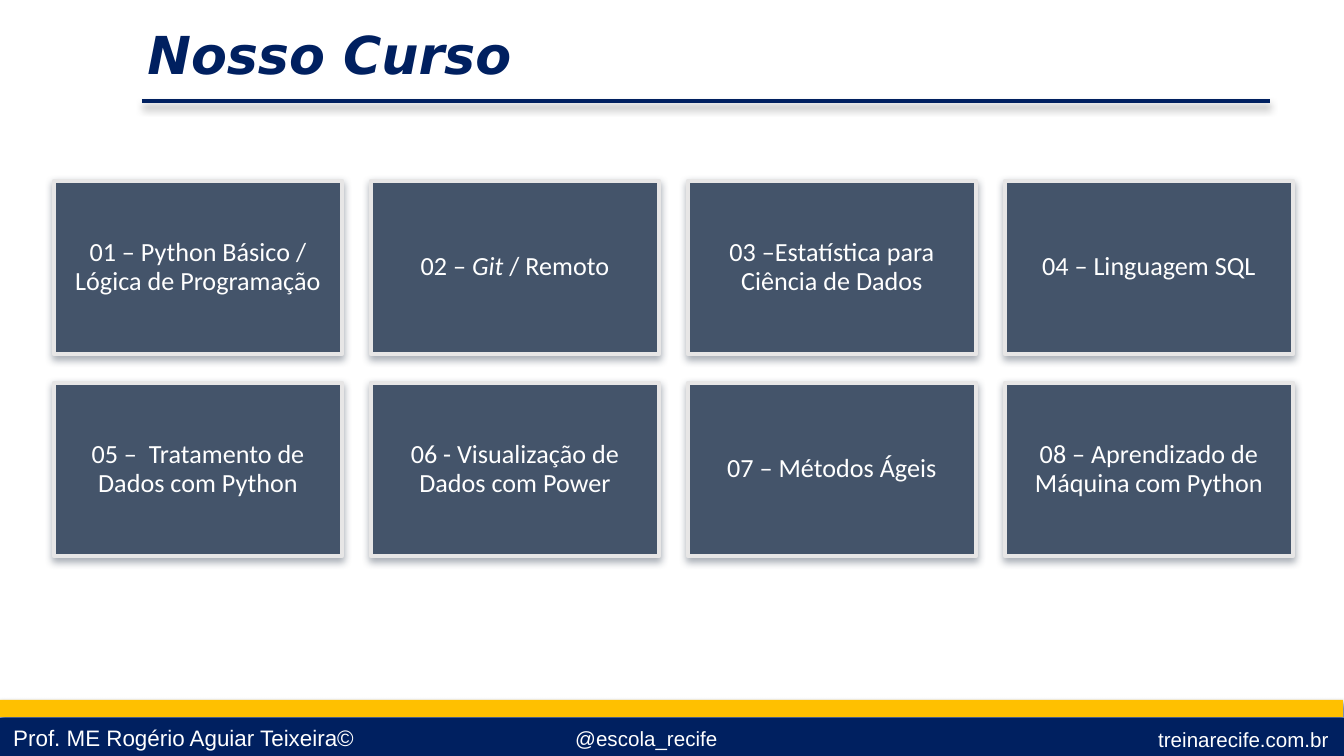
from lxml import etree
from pptx import Presentation
from pptx import util as u
from pptx.dml.color import RGBColor
from pptx.enum import shapes, text
from pptx.oxml import ns

SCALE = 914400 / 134.4
NAVY = RGBColor(0x00, 0x20, 0x60)
YELLOW = RGBColor(0xFF, 0xC0, 0x00)
SLATE = RGBColor(0x44, 0x54, 0x6A)
SILVER = RGBColor(0xE7, 0xE6, 0xE6)
WHITE = RGBColor(0xFF, 0xFF, 0xFF)
BLACK = RGBColor(0x00, 0x00, 0x00)
BAR_SHADOW = RGBColor(0x2A, 0x46, 0x79)
CARD_SHADOW = RGBColor(0x23, 0x31, 0x44)

MODULES = [
    "01 – Python Básico / Lógica de Programação",
    "02 – *Git* / Remoto",
    "03 –Estatística para Ciência de Dados",
    "04 – Linguagem SQL",
    "05 –  Tratamento de Dados com Python",
    "06 - Visualização de Dados com Power",
    "07 – Métodos Ágeis",
    "08 – Aprendizado de Máquina com Python",
]
FOOTER = [
    ("treinarecife.com.br", 1145, 720, 199, 39, 11),
    ("Prof. ME Rogério Aguiar Teixeira©", 0, 718, 375, 40, 12),
    ("@escola_recife", 562, 719, 200, 39, 11),
]


def px(*values):
    return [u.Emu(round(v * SCALE)) for v in values]


class Deck:
    def __init__(self, prs):
        self.slide = prs.slides.add_slide(prs.slide_layouts[5])

    def font(self, p, name, size, color):
        p.font.name = name
        p.font.size = u.Pt(size)
        p.font.color.rgb = color

    def shadow(self, sp, color, alpha, blur, dist):
        props = sp._element.spPr
        effects = props.find(ns.qn("a:effectLst"))
        if effects is None:
            effects = etree.SubElement(props, ns.qn("a:effectLst"))
        outer = etree.SubElement(
            effects, ns.qn("a:outerShdw"), blurRad=str(u.Pt(blur)),
            dist=str(u.Pt(dist)), dir="5400000", algn="t", rotWithShape="0")
        tint = etree.SubElement(outer, ns.qn("a:srgbClr"), val=str(color))
        etree.SubElement(tint, ns.qn("a:alpha"), val=str(alpha * 1000))

    def title(self, words, x, y, w, h):
        sp = self.slide.shapes.title
        sp.left, sp.top, sp.width, sp.height = px(x, y, w, h)
        tf = sp.text_frame
        tf.text = words
        tf.auto_size = text.MSO_AUTO_SIZE.NONE
        tf.vertical_anchor = text.MSO_ANCHOR.TOP
        p = tf.paragraphs[0]
        p.alignment = text.PP_ALIGN.LEFT
        self.font(p, "DejaVu Sans", 28, NAVY)
        p.font.bold = p.font.italic = True

    def rect(self, x, y, w, h, fill):
        sp = self.slide.shapes.add_shape(
            shapes.MSO_SHAPE.RECTANGLE, *px(x, y, w, h))
        sp.shadow.inherit = False
        sp.fill.solid()
        sp.fill.fore_color.rgb = fill
        sp.line.fill.background()
        return sp

    def rule(self, x1, x2, y):
        line = self.slide.shapes.add_connector(
            shapes.MSO_CONNECTOR.STRAIGHT, *px(x1, y, x2, y))
        line.line.color.rgb = NAVY
        line.line.width = u.Pt(2.25)
        self.shadow(line, BLACK, 40, 4, 3)

    def label(self, words, x, y, w, h, size):
        tf = self.slide.shapes.add_textbox(*px(x, y, w, h)).text_frame
        tf.word_wrap = True
        tf.text = words
        self.font(tf.paragraphs[0], "Arial", size, WHITE)

    def card(self, words, x, y, w, h):
        sp = self.rect(x, y, w, h, SLATE)
        sp.line.color.rgb = SILVER
        sp.line.width = u.Pt(2.5)
        self.shadow(sp, CARD_SHADOW, 38, 4, 2)
        tf = sp.text_frame
        tf.word_wrap = True
        tf.vertical_anchor = text.MSO_ANCHOR.MIDDLE
        tf.margin_left, tf.margin_top, tf.margin_right, tf.margin_bottom = px(8, 8, 8, 8)
        p = tf.paragraphs[0]
        p.alignment = text.PP_ALIGN.CENTER
        p.line_spacing = 0.9
        self.font(p, "Calibri", 14, WHITE)
        for i, part in enumerate(words.split("*")):
            r = p.add_run()
            r.text = part
            if i % 2:
                r.font.italic = True


def main():
    prs = Presentation()
    prs.slide_width, prs.slide_height = px(1344, 756)
    deck = Deck(prs)
    bar = deck.rect(-1, 700, 1344, 17, YELLOW)
    deck.shadow(bar, BAR_SHADOW, 83, 3.1, 2)
    deck.rect(0, 718, 1344, 38, NAVY)
    for item in FOOTER:
        deck.label(*item)
    deck.rule(142, 1270, 101)
    deck.title("Nosso Curso", 134, 16, 1024, 77)
    for i, words in enumerate(MODULES):
        row, col = divmod(i, 4)
        deck.card(words, 54 + 317 * col, 181 + 202 * row, 288, 173)
    prs.save("out.pptx")


if __name__ == "__main__":
    main()
